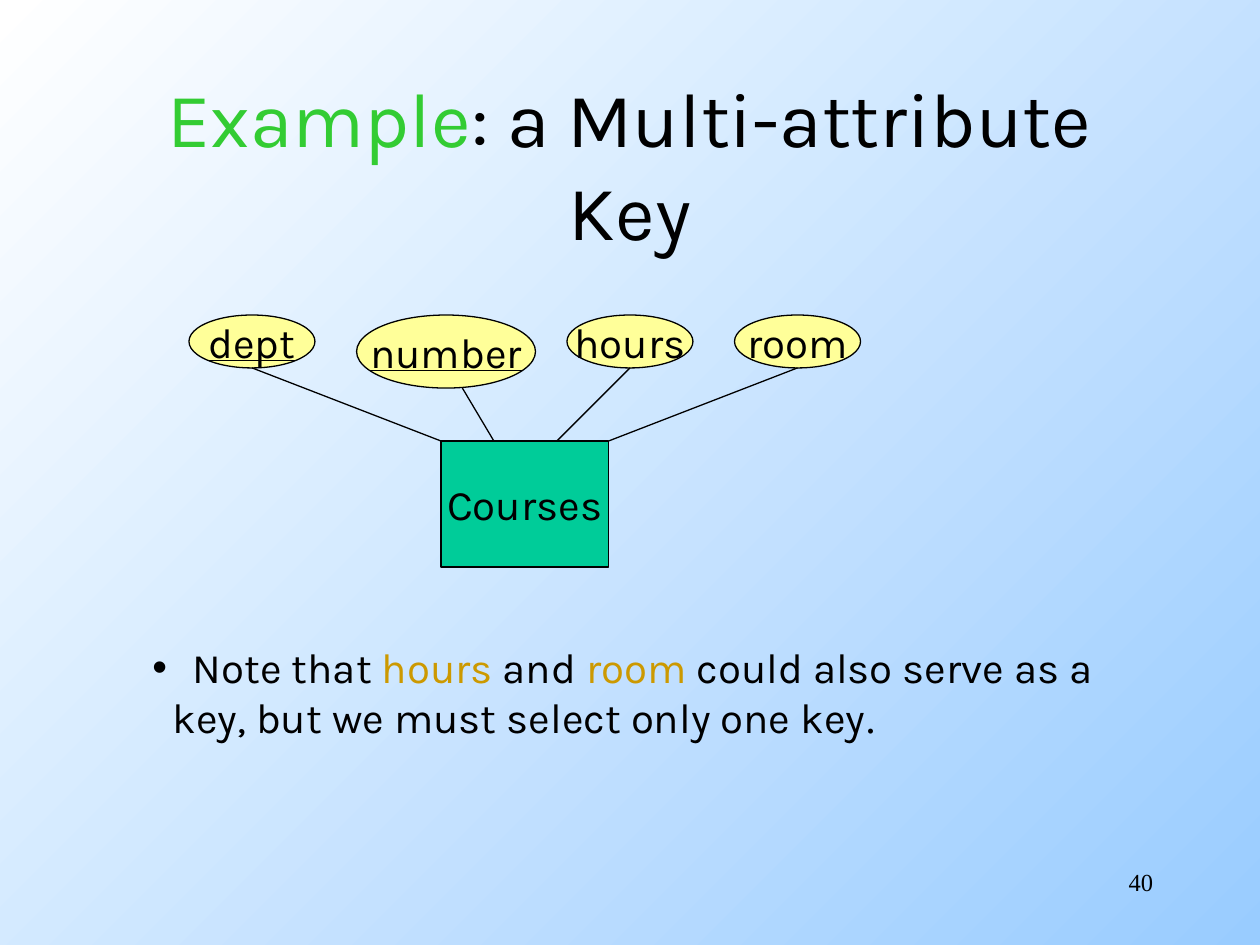
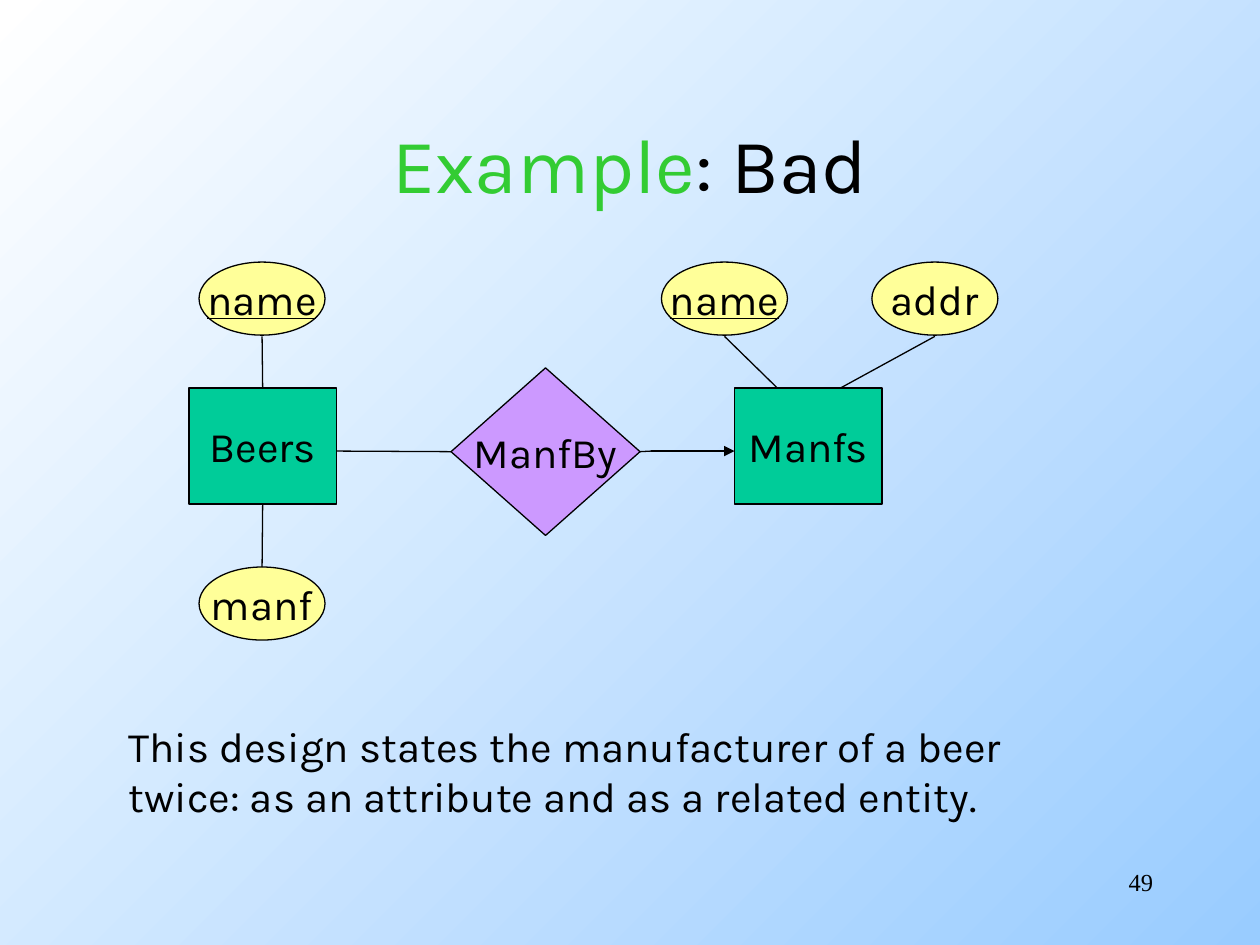
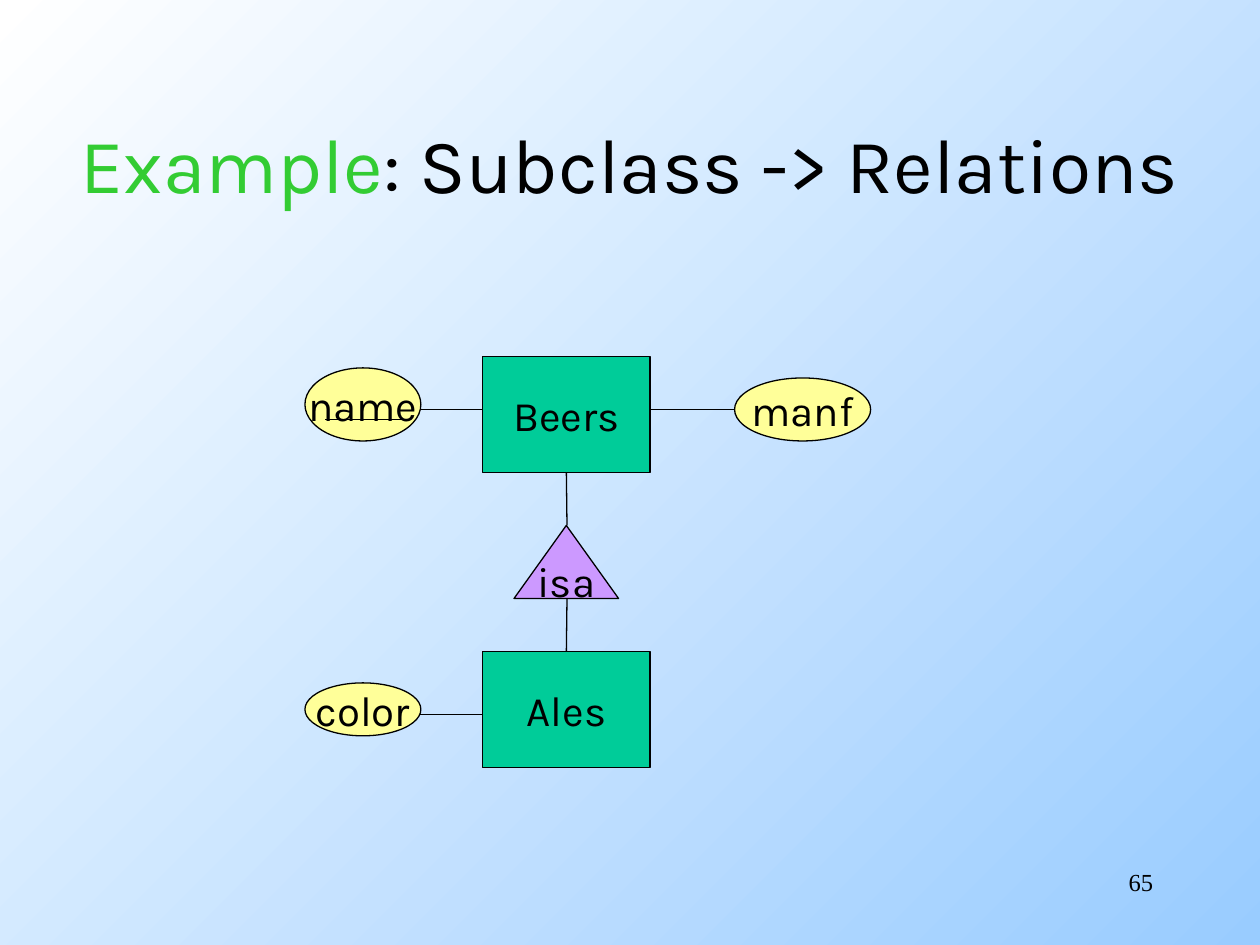
from dataclasses import dataclass
from typing import Optional

from lxml.etree import SubElement
from pptx import Presentation
from pptx.dml.color import RGBColor
from pptx.enum.shapes import MSO_CONNECTOR, MSO_SHAPE
from pptx.enum.text import MSO_ANCHOR, MSO_AUTO_SIZE, PP_ALIGN
from pptx.oxml.ns import qn
from pptx.util import Inches, Pt

COLOURS = {
    "ink": "000000",
    "example": "33CC33",
    "term": "CC9900",
    "entity": "00CC99",
    "attribute": "FFFF99",
    "relationship": "CC99FF",
    "sky_start": "FFFFFF",
    "sky_end": "99CCFF",
}
FONT = "Karla"
SERIF = "Times New Roman"
TITLE_AND_BODY, TITLE_ONLY = 1, 5
TOP, LEFT, BOTTOM, RIGHT = range(4)

Point = tuple[float, float]
Area = tuple[float, float, float, float]
Joint = Optional[tuple[str, int]]


@dataclass
class Node:
    label: str
    kind: str
    area: Area
    underlined: bool = False


@dataclass
class Link:
    start: Point
    end: Point
    start_joint: Joint = None
    end_joint: Joint = None
    arrow: bool = False


@dataclass
class Diagram:
    number: int
    title: str
    nodes: list[Node]
    links: list[Link]
    title_area: Area = (0.75, 0.67, 8.5, 1.25)
    layout: int = TITLE_ONLY


NODE_SHAPES = {
    "entity": (MSO_SHAPE.RECTANGLE, "entity"),
    "attribute": (MSO_SHAPE.OVAL, "attribute"),
    "relationship": (MSO_SHAPE.DIAMOND, "relationship"),
    "subclass": (MSO_SHAPE.ISOSCELES_TRIANGLE, "relationship"),
}


def colour(name: str) -> RGBColor:
    return RGBColor.from_string(COLOURS[name])


def place(box, area: Area) -> None:
    box.left, box.top, box.width, box.height = map(Inches, area)


def add_span(para, text: str, size: int = 24, ink: str = "ink", font: str = FONT):
    span = para.add_run()
    span.text = text
    span.font.size = Pt(size)
    span.font.name = font
    span.font.color.rgb = colour(ink)
    return span


def add_text_box(page, area: Area):
    box = page.shapes.add_textbox(*map(Inches, area))
    box.text_frame.word_wrap = True
    return box.text_frame.paragraphs[0]


def add_node(page, node: Node):
    preset, fill = NODE_SHAPES[node.kind]
    box = page.shapes.add_shape(preset, *map(Inches, node.area))
    box.shadow.inherit = False
    box.fill.solid()
    box.fill.fore_color.rgb = colour(fill)
    box.line.color.rgb = colour("ink")
    box.line.width = Pt(0.75)
    frame = box.text_frame
    frame.word_wrap = False
    frame.vertical_anchor = MSO_ANCHOR.MIDDLE
    para = frame.paragraphs[0]
    para.alignment = PP_ALIGN.CENTER
    span = add_span(para, node.label)
    if node.underlined:
        span.font.underline = True
    return box


def add_link(page, link: Link, boxes: dict) -> None:
    line = page.shapes.add_connector(
        MSO_CONNECTOR.STRAIGHT, *map(Inches, link.start + link.end))
    line.line.color.rgb = colour("ink")
    line.line.width = Pt(0.75)
    if link.start_joint:
        label, side = link.start_joint
        line.begin_connect(boxes[label], side)
    if link.end_joint:
        label, side = link.end_joint
        line.end_connect(boxes[label], side)
    if link.arrow:
        SubElement(line.line._get_or_add_ln(), qn("a:tailEnd"), type="triangle")
    SubElement(line._element.spPr, qn("a:effectLst"))


def add_page(deck, diagram: Diagram):
    page = deck.slides.add_slide(deck.slide_layouts[diagram.layout])

    # Title and page number
    place(page.shapes.title, diagram.title_area)
    frame = page.shapes.title.text_frame
    frame.auto_size = MSO_AUTO_SIZE.NONE
    frame.vertical_anchor = MSO_ANCHOR.MIDDLE
    para = frame.paragraphs[0]
    para.alignment = PP_ALIGN.CENTER
    add_span(para, "Example", 44, "example")
    add_span(para, f": {diagram.title}", 44)
    para = add_text_box(page, (7.17, 6.83, 2.08, 0.5))
    para.alignment = PP_ALIGN.RIGHT
    add_span(para, str(diagram.number), 14, font=SERIF)

    # Entities, attributes and the lines between them
    boxes = {node.label: add_node(page, node) for node in diagram.nodes}
    for link in diagram.links:
        add_link(page, link, boxes)
    return page


def add_key_note(page) -> None:
    box = page.placeholders[1]
    place(box, (1.11, 5.04, 7.81, 0.9))
    frame = box.text_frame
    frame.auto_size = MSO_AUTO_SIZE.NONE
    frame.vertical_anchor = MSO_ANCHOR.TOP
    first, second = frame.paragraphs[0], frame.add_paragraph()
    for text, ink in (("Note that ", "ink"), ("hours", "term"), (" and ", "ink"),
                      ("room", "term"), (" could also serve as a", "ink")):
        add_span(first, text, ink=ink)
    add_span(second, "key, but we must select only one key")
    add_span(second, ".", font=SERIF)

    # Hanging bullet on the first line, plain indent on the second
    for para, margin, hanging, bullet in ((first, 0.32, -0.32, "•"),
                                          (second, 0.16, 0, None)):
        para.space_before = Pt(0)
        properties = para._p.get_or_add_pPr()
        properties.set("marL", str(Inches(margin)))
        properties.set("indent", str(Inches(hanging)))
        if bullet:
            SubElement(properties, qn("a:buChar"), char=bullet)
        else:
            SubElement(properties, qn("a:buNone"))


MULTI_KEY = Diagram(
    40, "a Multi-attribute Key",
    nodes=[
        Node("Courses", "entity", (3.5, 3.5, 1.33, 1)),
        Node("dept", "attribute", (1.5, 2.5, 1, 0.42), underlined=True),
        Node("number", "attribute", (2.83, 2.5, 1.42, 0.58), underlined=True),
        Node("hours", "attribute", (4.5, 2.5, 1, 0.42)),
        Node("room", "attribute", (5.83, 2.5, 1, 0.42)),
    ],
    links=[
        Link((2, 2.92), (3.5, 3.5)),
        Link((3.67, 3.08), (3.92, 3.5)),
        Link((5, 2.92), (4.42, 3.5)),
        Link((6.33, 2.92), (4.83, 3.5)),
    ],
    layout=TITLE_AND_BODY,
)

BAD_DESIGN = Diagram(
    49, "Bad",
    nodes=[
        Node("Beers", "entity", (1.5, 3.08, 1.17, 0.92)),
        Node("Manfs", "entity", (5.83, 3.08, 1.17, 0.92)),
        Node("ManfBy", "relationship", (3.58, 2.92, 1.5, 1.33)),
        Node("name", "attribute", (1.58, 2.08, 1, 0.58), underlined=True),
        Node("name", "attribute", (5.25, 2.08, 1, 0.58), underlined=True),
        Node("manf", "attribute", (1.58, 4.5, 1, 0.58)),
        Node("addr", "attribute", (6.92, 2.08, 1, 0.58)),
    ],
    links=[
        Link((5.08, 3.58), (5.17, 3.58), start_joint=("ManfBy", RIGHT)),
        Link((3.58, 3.58), (2.67, 3.58), start_joint=("ManfBy", LEFT)),
        Link((2.08, 2.67), (2.08, 3.08), end_joint=("Beers", TOP)),
        Link((5.75, 2.67), (6.17, 3.08)),
        Link((7.42, 2.67), (6.67, 3.08)),
        Link((5.17, 3.58), (5.83, 3.58), arrow=True),
        Link((2.08, 4.5), (2.08, 4), end_joint=("Beers", BOTTOM)),
    ],
)

SUBCLASS = Diagram(
    65, "Subclass -> Relations",
    nodes=[
        Node("Beers", "entity", (3.83, 2.83, 1.33, 0.92)),
        Node("Ales", "entity", (3.83, 5.17, 1.33, 0.92)),
        Node("isa", "subclass", (4.08, 4.17, 0.83, 0.58)),
        Node("name", "attribute", (2.42, 2.92, 0.92, 0.58)),
        Node("manf", "attribute", (5.83, 3, 1.08, 0.5)),
        Node("color", "attribute", (2.42, 5.42, 0.92, 0.42)),
    ],
    links=[
        Link((2.58, 3.33), (3.25, 3.33)),
        Link((3.33, 3.25), (3.83, 3.25)),
        Link((5.83, 3.25), (5.17, 3.25)),
        Link((4.5, 4.17), (4.5, 3.75), end_joint=("Beers", BOTTOM)),
        Link((4.5, 4.75), (4.5, 5.17), end_joint=("Ales", TOP)),
        Link((3.33, 5.67), (3.83, 5.67)),
    ],
    title_area=(0, 0.67, 10, 1.25),
)


def main() -> None:
    deck = Presentation()
    deck.slide_width, deck.slide_height = Inches(10), Inches(7.5)

    # Shared background
    sky = deck.slide_master.background.fill
    sky.gradient()
    sky.gradient_angle = 315
    for stop, name in zip(sky.gradient_stops, ("sky_start", "sky_end")):
        stop.color.rgb = colour(name)

    # Pages
    add_key_note(add_page(deck, MULTI_KEY))
    page = add_page(deck, BAD_DESIGN)
    add_span(add_text_box(page, (0.92, 5.67, 7.52, 0.9)),
             "This design states the manufacturer of a beer twice: "
             "as an attribute and as a related entity.")
    add_page(deck, SUBCLASS)

    deck.save("out.pptx")


if __name__ == "__main__":
    main()
